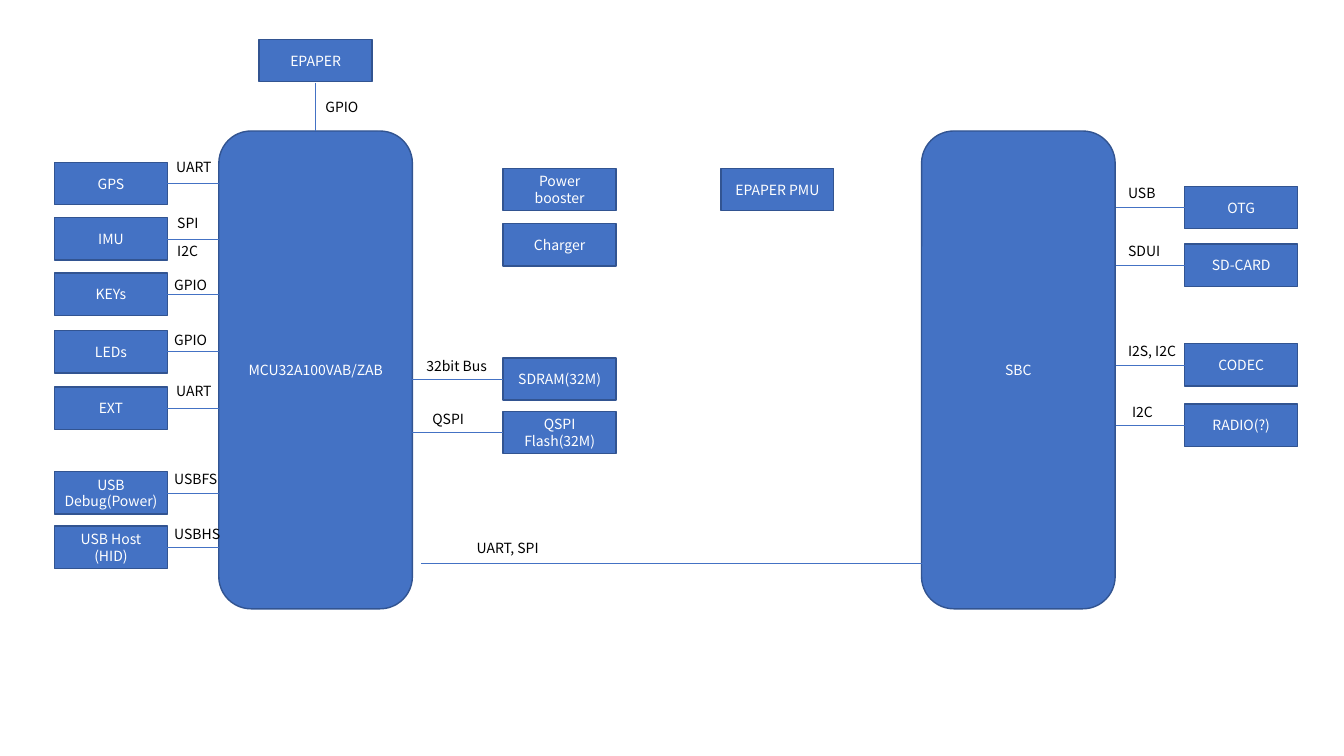
from pptx import Presentation
from pptx.dml.color import RGBColor
from pptx.enum.shapes import MSO_CONNECTOR, MSO_SHAPE
from pptx.enum.text import MSO_ANCHOR, PP_ALIGN
from pptx.oxml.ns import qn
from pptx.util import Inches, Pt
from lxml.etree import SubElement

COLORS = {"block": "4472C4", "border": "325491", "light": "FFFFFF", "dark": "000000"}
FONT = "Noto Sans CJK KR"

# Processors: name, left
PROCESSORS = [("SBC", 9.14), ("MCU32A100VAB/ZAB", 2.17)]

# Peripherals by column: left, wire start, wire end, [(name, top)]
COLUMNS = [
    (0.54, 1.66, 2.17, [
        ("GPS", 1.61), ("IMU", 2.16), ("KEYs", 2.71), ("LEDs", 3.28), ("EXT", 3.84),
        ("USB Debug(Power)", 4.68), ("USB Host\n(HID)", 5.22)]),
    (4.99, 4.99, 4.09, [("SDRAM(32M)", 3.55), ("QSPI Flash(32M)", 4.08)]),
    (11.75, 11.75, 11.07, [
        ("OTG", 1.85), ("SD-CARD", 2.42), ("CODEC", 3.41), ("RADIO(?)", 4.01)]),
]

# Blocks without a side wire: name, left, top
LOOSE_BLOCKS = [
    ("EPAPER", 2.57, 0.39), ("Power booster", 4.99, 1.67),
    ("Charger", 4.99, 2.22), ("EPAPER PMU", 7.15, 1.67),
]

# Other wires: x1, y1, x2, y2
BUS_WIRES = [(3.13, 0.82, 3.13, 1.3), (4.18, 5.59, 9.16, 5.59)]

# Bus labels by width: [(text, left, top)]
BUS_LABELS = {
    0.67: [
        ("GPIO", 3.13, 0.93), ("UART", 1.65, 1.52), ("SPI", 1.66, 2.08),
        ("I2C", 1.66, 2.36), ("GPIO", 1.63, 2.69), ("GPIO", 1.63, 3.24),
        ("UART", 1.65, 3.75), ("USBFS", 1.63, 4.62), ("USBHS", 1.63, 5.16)],
    0.85: [
        ("32bit Bus", 4.13, 3.5), ("QSPI", 4.19, 4.02), ("USB", 11.09, 1.78),
        ("SDUI", 11.09, 2.36), ("I2S, I2C", 11.09, 3.35), ("I2C", 11.13, 3.95)],
    2.32: [("UART, SPI", 4.63, 5.3)],
}

PROCESSOR_TOP, PROCESSOR_WIDTH, PROCESSOR_HEIGHT = 1.3, 1.92, 4.74
BLOCK_WIDTH, BLOCK_HEIGHT = 1.12, 0.42
LABEL_HEIGHT = 0.27


def rgb(role):
    return RGBColor.from_string(COLORS[role])


def write(frame, text, role, align):
    frame.text = text
    frame.word_wrap = True
    for paragraph in frame.paragraphs:
        paragraph.alignment = align
        for run in paragraph.runs:
            for attribute, value in {"name": FONT, "size": Pt(10)}.items():
                setattr(run.font, attribute, value)
            run.font.color.rgb = rgb(role)


def add_block(name, left, top, width=BLOCK_WIDTH, height=BLOCK_HEIGHT,
              outline=MSO_SHAPE.RECTANGLE):
    block = slide.shapes.add_shape(
        outline, Inches(left), Inches(top), Inches(width), Inches(height))
    block.shadow.inherit = False
    block.fill.solid()
    block.fill.fore_color.rgb = rgb("block")
    block.line.color.rgb = rgb("border")
    block.line.width = Pt(1)
    block.text_frame.vertical_anchor = MSO_ANCHOR.MIDDLE
    write(block.text_frame, name, "light", PP_ALIGN.CENTER)


def add_wire(x1, y1, x2, y2):
    wire = slide.shapes.add_connector(
        MSO_CONNECTOR.STRAIGHT, Inches(x1), Inches(y1), Inches(x2), Inches(y2))
    wire.line.color.rgb = rgb("block")
    wire.line.width = Pt(0.5)
    SubElement(wire._element.spPr, qn("a:effectLst"))


def add_label(text, left, top, width):
    label = slide.shapes.add_textbox(
        Inches(left), Inches(top), Inches(width), Inches(LABEL_HEIGHT))
    write(label.text_frame, text, "dark", PP_ALIGN.LEFT)


presentation = Presentation()
presentation.slide_width, presentation.slide_height = Inches(13.33), Inches(7.5)
slide = presentation.slides.add_slide(presentation.slide_layouts[6])

for name, left in PROCESSORS:
    add_block(name, left, PROCESSOR_TOP, PROCESSOR_WIDTH, PROCESSOR_HEIGHT,
              MSO_SHAPE.ROUNDED_RECTANGLE)
for left, wire_start, wire_end, peripherals in COLUMNS:
    for name, top in peripherals:
        add_block(name, left, top)
        wire_y = top + BLOCK_HEIGHT / 2
        add_wire(wire_start, wire_y, wire_end, wire_y)
for name, left, top in LOOSE_BLOCKS:
    add_block(name, left, top)
for ends in BUS_WIRES:
    add_wire(*ends)
for width, labels in BUS_LABELS.items():
    for text, left, top in labels:
        add_label(text, left, top, width)

presentation.save("out.pptx")
